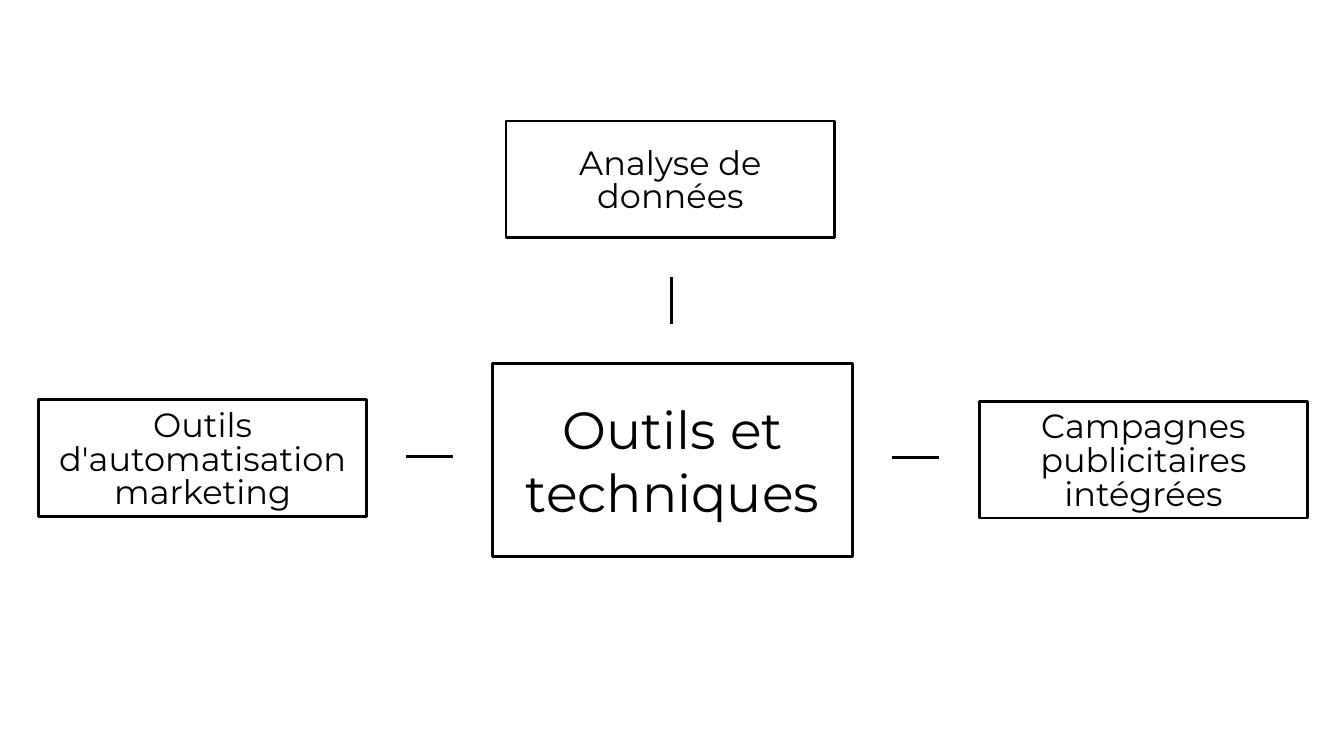
from dataclasses import dataclass

from lxml import etree
from pptx import Presentation
from pptx.dml.color import RGBColor
from pptx.enum.shapes import MSO_CONNECTOR, MSO_SHAPE
from pptx.enum.text import MSO_ANCHOR, MSO_AUTO_SIZE, PP_ALIGN
from pptx.oxml.ns import qn
from pptx.util import Inches, Pt

RECTANGLE = MSO_SHAPE.RECTANGLE
STRAIGHT = MSO_CONNECTOR.STRAIGHT
MIDDLE = MSO_ANCHOR.MIDDLE
NO_AUTOFIT = MSO_AUTO_SIZE.NONE
CENTER = PP_ALIGN.CENTER

COLUMNS, ROWS = 20, 11.25
UNIT = Inches(1)
FONT = "Montserrat"
BLACK = "000000"
WHITE = "FFFFFF"
LINE_WIDTH = 3
BRANCH_WIDTH, BRANCH_HEIGHT = 4.89, 1.74
LINK_LENGTH = 0.7


@dataclass
class Branch:
    text: str
    column: float
    row: float


@dataclass
class Link:
    column: float
    row: float
    columns: float = 0
    rows: float = 0


BRANCHES = [
    Branch("Outils d'automatisation marketing", 0.57, 5.95),
    Branch("Campagnes publicitaires intégrées", 14.57, 5.97),
    Branch("Analyse de données", 7.53, 1.8),
]
LINKS = [
    Link(6.04, 6.79, columns=LINK_LENGTH),
    Link(13.28, 6.81, columns=LINK_LENGTH),
    Link(9.99, 4.12, rows=LINK_LENGTH),
]


def grid(count: float) -> int:
    return round(count * UNIT)


def color(value: str) -> RGBColor:
    return RGBColor.from_string(value)


def outline(line) -> None:
    line.color.rgb = color(BLACK)
    line.width = Pt(LINE_WIDTH)


def write_text(shape, text: str, *, size: float, spacing: float,
               side_inset: float, top_inset: float = 0) -> None:
    frame = shape.text_frame
    frame.word_wrap = True
    frame.auto_size = NO_AUTOFIT
    frame.vertical_anchor = MIDDLE
    frame.margin_left = frame.margin_right = grid(side_inset)
    frame.margin_top, frame.margin_bottom = grid(top_inset), 0
    paragraph = frame.paragraphs[0]
    paragraph.alignment = CENTER
    paragraph.line_spacing = Pt(spacing)
    paragraph.space_before = Pt(0)
    run = paragraph.add_run()
    run.text = text
    run.font.name = FONT
    run.font.size = Pt(size)
    run.font.color.rgb = color(BLACK)


def draw_center(slide, text: str) -> None:
    title = slide.shapes.title
    title.left, title.top = grid(7.33), grid(5.41)
    title.width, title.height = grid(5.36), grid(2.87)
    outline(title.line)
    write_text(title, text, size=56, spacing=67.2, side_inset=0.25)


def draw_branch(slide, branch: Branch) -> None:
    shape = slide.shapes.add_shape(
        RECTANGLE, grid(branch.column), grid(branch.row),
        grid(BRANCH_WIDTH), grid(BRANCH_HEIGHT))
    shape.shadow.inherit = False
    shape.fill.background()
    outline(shape.line)
    write_text(shape, branch.text, size=36, spacing=36,
               side_inset=0.14, top_inset=0.08)


def draw_link(slide, link: Link) -> None:
    connector = slide.shapes.add_connector(
        STRAIGHT, grid(link.column), grid(link.row),
        grid(link.column + link.columns), grid(link.row + link.rows))
    outline(connector.line)
    etree.SubElement(connector._element.spPr, qn("a:effectLst"))


def main() -> None:
    presentation = Presentation()
    presentation.slide_width = grid(COLUMNS)
    presentation.slide_height = grid(ROWS)
    slide = presentation.slides.add_slide(presentation.slide_layouts[5])
    slide.background.fill.solid()
    slide.background.fill.fore_color.rgb = color(WHITE)
    draw_center(slide, "Outils et techniques")
    for link in LINKS:
        draw_link(slide, link)
    for branch in BRANCHES:
        draw_branch(slide, branch)
    presentation.save("out.pptx")


if __name__ == "__main__":
    main()
